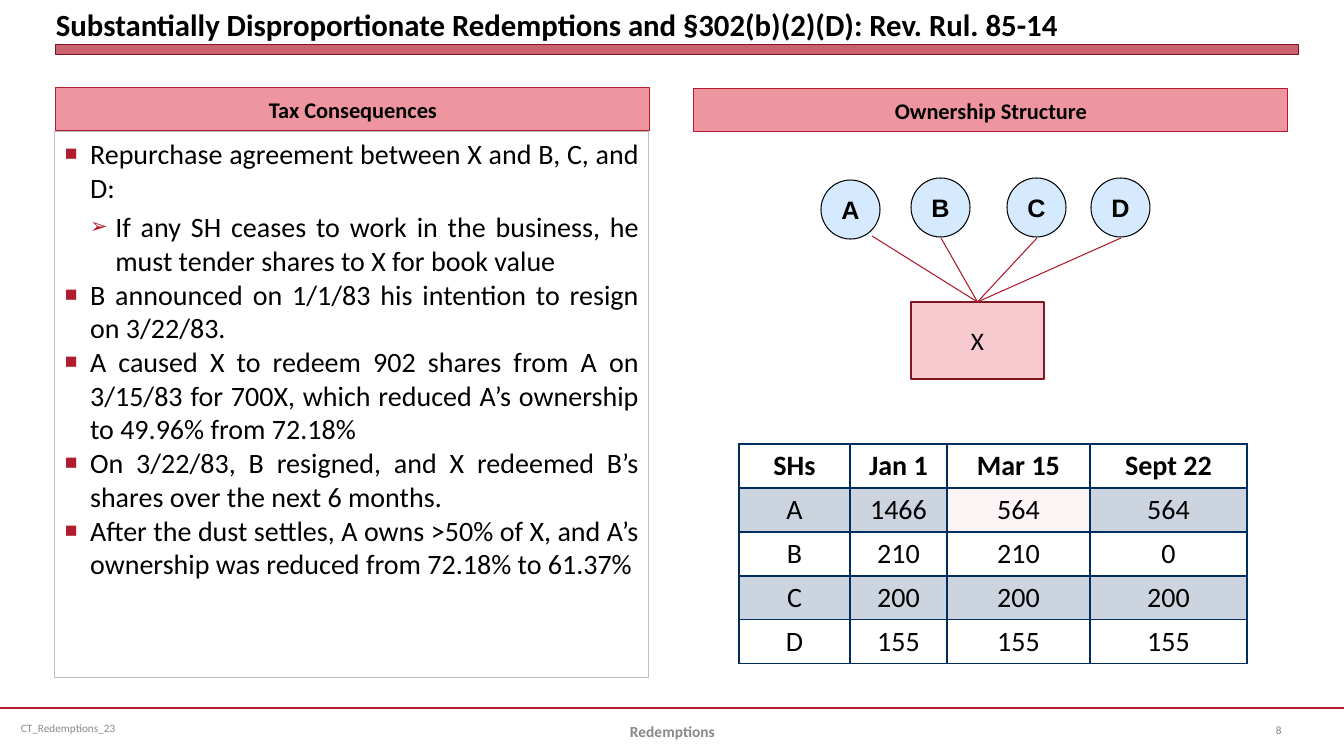
import lxml.etree
import pptx
import pptx.dml.color
import pptx.enum.shapes
import pptx.enum.text
import pptx.oxml.ns
import pptx.util
from dataclasses import dataclass

SHAPE = pptx.enum.shapes.MSO_SHAPE
ALIGN = pptx.enum.text.PP_ALIGN
ANCHOR = pptx.enum.text.MSO_ANCHOR
qn = pptx.oxml.ns.qn


@dataclass(frozen=True)
class Theme:
    font: str = "Calibri"
    owner_font: str = "Arial"
    ink: str = "000000"
    white: str = "FFFFFF"
    red: str = "B01C2E"
    dark_red: str = "821522"
    link: str = "B0182A"
    header: str = "EE95A0"
    pink: str = "F7CAD0"
    sky: str = "D6EAFF"
    navy: str = "002F5F"
    frame: str = "C0C0C0"
    footer: str = "898989"
    number: str = "808080"
    title_size: int = 22
    body_size: int = 20
    label_size: int = 18
    header_size: int = 16
    footer_size: int = 11
    small_size: int = 8


THEME = Theme()
PX = 914400 / 100.8
SLIDE = (1344, 756)

TITLE = "Substantially Disproportionate Redemptions and §302(b)(2)(D): Rev. Rul. 85-14"
HEADERS = [("Tax Consequences", (56, 88, 594, 43)), ("Ownership Structure", (694, 89, 594, 43))]
POINTS = [
    (0, "Repurchase agreement between X and B, C, and D:"),
    (1, "If any SH ceases to work in the business, he must tender shares to X for book value"),
    (0, "B announced on 1/1/83 his intention to resign on 3/22/83."),
    (0, "A caused X to redeem 902 shares from A on 3/15/83 for 700X, which reduced A’s ownership to 49.96% from 72.18%"),
    (0, "On 3/22/83, B resigned, and X redeemed B’s shares over the next 6 months."),
    (0, "After the dust settles, A owns >50% of X, and A’s ownership was reduced from 72.18% to 61.37%"),
]
LEVELS = [("■", 0.2), ("➢", 4)]
CIRCLE = 59
OWNERS = [
    ("A", (821, 180), (51, 56)),
    ("B", (911, 178), (30, 60)),
    ("C", (1007, 178), (30, 60)),
    ("D", (1091, 178), (30, 60)),
]
COMPANY = ("X", (911, 302, 133, 77))
SHARES = [
    ("SHs", "Jan 1", "Mar 15", "Sept 22"),
    ("A", "1466", "564", "564"),
    ("B", "210", "210", "0"),
    ("C", "200", "200", "200"),
    ("D", "155", "155", "155"),
]
TABLE_AT = (739, 444)
COLUMNS = (111, 97, 143, 157)
ROW = 44
REDEEMED = (1, 2)
FOOTERS = [
    ("CT_Redemptions_23", (11, 708, 347, 40), THEME.small_size, THEME.footer, False, ALIGN.LEFT),
    ("Redemptions", (460, 711, 425, 40), THEME.footer_size, THEME.footer, True, ALIGN.CENTER),
    ("8", (1266, 710, 68, 40), THEME.small_size, THEME.number, False, ALIGN.LEFT),
]


def emu(*lengths):
    return [pptx.util.Emu(round(length * PX)) for length in lengths]


def rgb(colour):
    return pptx.dml.color.RGBColor.from_string(colour)


def paint(fill, colour):
    fill.solid()
    fill.fore_color.rgb = rgb(colour)


def fade(properties, percent):
    colour = properties.find(qn("a:solidFill")).find(qn("a:srgbClr"))
    lxml.etree.SubElement(colour, qn("a:alpha"), val=str(percent * 1000))


def write(para, text, size, colour=THEME.ink, bold=False, align=ALIGN.CENTER, font=THEME.font):
    para.alignment = align
    span = para.add_run()
    span.text = text
    span.font.name = font
    span.font.size = pptx.util.Pt(size)
    span.font.bold = bold
    span.font.color.rgb = rgb(colour)


def add_text(page, area, text, size, colour, bold, align, anchor=ANCHOR.MIDDLE):
    frame = page.shapes.add_textbox(*emu(*area)).text_frame
    frame.word_wrap = True
    frame.vertical_anchor = anchor
    write(frame.paragraphs[0], text, size, colour, bold, align)
    return frame


def add_box(page, area, fill, line, width=0.75, kind=SHAPE.RECTANGLE):
    box = page.shapes.add_shape(kind, *emu(*area))
    box.shadow.inherit = False
    paint(box.fill, fill)
    box.line.color.rgb = rgb(line)
    box.line.width = pptx.util.Pt(width)
    box.text_frame.word_wrap = True
    box.text_frame.vertical_anchor = ANCHOR.MIDDLE
    return box


def add_line(page, start, end, colour, width):
    line = page.shapes.add_connector(pptx.enum.shapes.MSO_CONNECTOR.STRAIGHT, *emu(*start, *end))
    line.line.color.rgb = rgb(colour)
    line.line.width = pptx.util.Pt(width)
    lxml.etree.SubElement(line._element.spPr, qn("a:effectLst"))
    return line


def add_bullet(para, level):
    mark, space = LEVELS[level]
    para.level = level
    properties = para._p.get_or_add_pPr()
    properties.set("marL", str(228600 * (level + 1)))
    properties.set("indent", "-228600")
    colour = lxml.etree.SubElement(properties, qn("a:buClr"))
    lxml.etree.SubElement(colour, qn("a:srgbClr"), val=THEME.red)
    lxml.etree.SubElement(properties, qn("a:buSzPct"), val="75000")
    lxml.etree.SubElement(properties, qn("a:buFont"), typeface=THEME.owner_font)
    lxml.etree.SubElement(properties, qn("a:buChar"), char=mark)
    return space


def add_points(page):
    frame = add_box(page, (55, 132, 594, 546), THEME.white, THEME.frame).text_frame
    frame.vertical_anchor = ANCHOR.TOP
    for index, (level, text) in enumerate(POINTS):
        para = frame.add_paragraph() if index else frame.paragraphs[0]
        space = add_bullet(para, level)
        if index:
            para.space_before = pptx.util.Pt(space)
        write(para, text, THEME.body_size, align=ALIGN.JUSTIFY)


def add_structure(page):
    name, area = COMPANY
    company = add_box(page, area, THEME.pink, THEME.dark_red, 2)
    write(company.text_frame.paragraphs[0], name, THEME.label_size)
    left, top, width, _ = area
    for owner, (x, y), (dx, dy) in OWNERS:
        circle = add_box(page, (x, y, CIRCLE, CIRCLE), THEME.sky, THEME.ink, kind=SHAPE.OVAL)
        circle.text_frame.word_wrap = False
        write(circle.text_frame.paragraphs[0], owner, THEME.label_size, bold=True, font=THEME.owner_font)
        line = add_line(page, (x + dx, y + dy), (left + width / 2, top), THEME.link, 0.75)
        line.end_connect(company, 0)


def add_borders(properties):
    for position, side in enumerate(("a:lnL", "a:lnR", "a:lnT", "a:lnB")):
        border = lxml.etree.Element(qn(side), w="12700")
        fill = lxml.etree.SubElement(border, qn("a:solidFill"))
        lxml.etree.SubElement(fill, qn("a:srgbClr"), val=THEME.navy)
        properties.insert(position, border)


def add_shares(page):
    size = (sum(COLUMNS), ROW * len(SHARES))
    table = page.shapes.add_table(len(SHARES), len(COLUMNS), *emu(*TABLE_AT, *size)).table
    for column, width in zip(table.columns, emu(*COLUMNS)):
        column.width = width
    for r, values in enumerate(SHARES):
        for c, value in enumerate(values):
            cell = table.cell(r, c)
            write(cell.text_frame.paragraphs[0], value, THEME.body_size, bold=r == 0)
            properties = cell._tc.get_or_add_tcPr()
            if r % 2:
                paint(cell.fill, THEME.pink if (r, c) == REDEEMED else THEME.navy)
                fade(properties, 20)
            else:
                cell.fill.background()
            add_borders(properties)


def main():
    deck = pptx.Presentation()
    deck.slide_width, deck.slide_height = emu(*SLIDE)
    page = deck.slides.add_slide(deck.slide_layouts[6])
    add_line(page, (0, 708), (SLIDE[0], 708), THEME.red, 1.25)
    bar = add_box(page, (56, 45, 1243, 10), THEME.red, THEME.dark_red, 0)
    fade(bar._element.spPr, 69)
    title = add_text(page, (56, 0, 1243, 43), TITLE, THEME.title_size, THEME.ink, True, ALIGN.LEFT, ANCHOR.BOTTOM)
    title.margin_left = title.margin_top = title.margin_right = title.margin_bottom = 0
    for text, area in HEADERS:
        header = add_box(page, area, THEME.header, THEME.red)
        write(header.text_frame.paragraphs[0], text, THEME.header_size, bold=True)
    add_structure(page)
    add_shares(page)
    add_points(page)
    for text, area, *style in FOOTERS:
        add_text(page, area, text, *style)
    deck.save("out.pptx")


if __name__ == "__main__":
    main()
